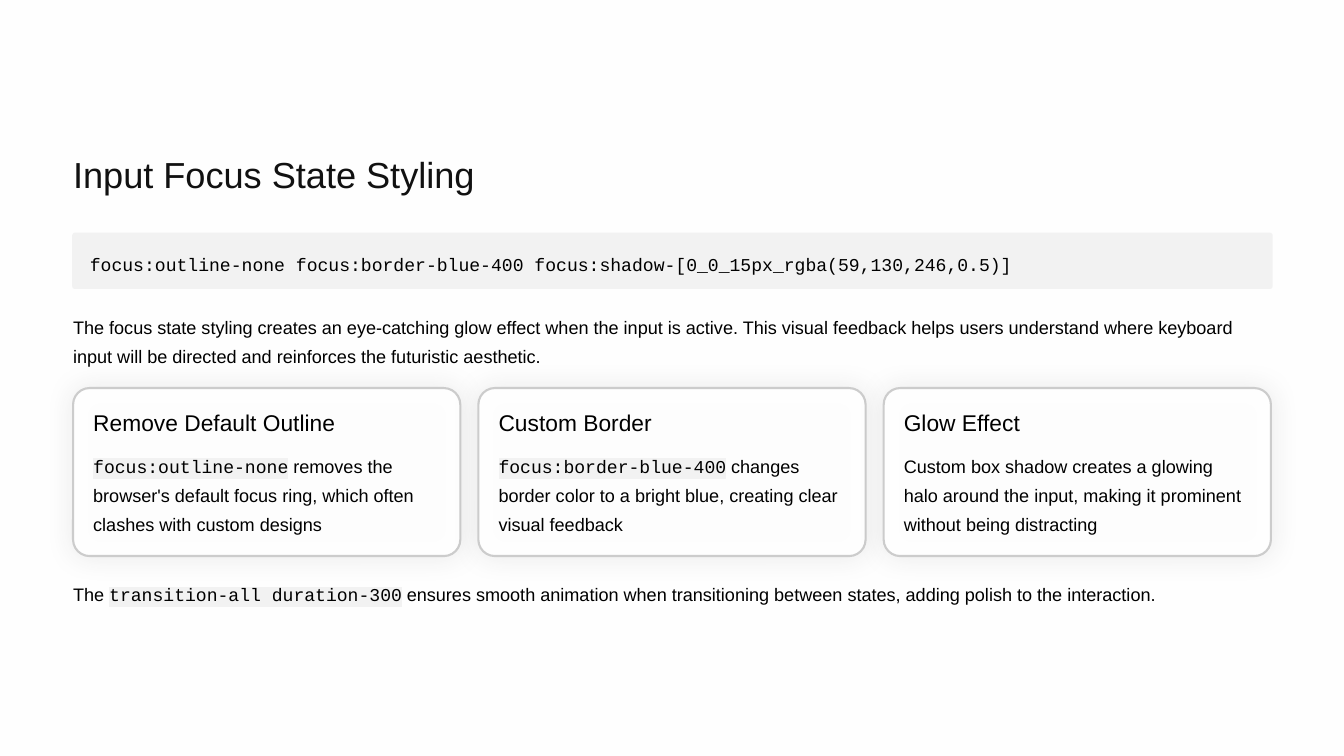
from lxml import etree
from pptx import Presentation
from pptx.dml.color import RGBColor
from pptx.enum.shapes import MSO_SHAPE
from pptx.enum.text import MSO_ANCHOR, MSO_AUTO_SIZE, PP_ALIGN
from pptx.oxml.ns import qn
from pptx.util import Inches, Pt

ROUNDED = MSO_SHAPE.ROUNDED_RECTANGLE
TOP = MSO_ANCHOR.TOP
NO_FIT = MSO_AUTO_SIZE.NONE
LEFT = PP_ALIGN.LEFT

BACKDROP = RGBColor(0xFE, 0xFE, 0xFE)
WHITE = RGBColor(0xFF, 0xFF, 0xFF)
BLACK = RGBColor(0, 0, 0)
HEADING = RGBColor(0x11, 0x11, 0x11)
CODE_FILL = RGBColor(0xF2, 0xF2, 0xF2)
CARD_LINE = RGBColor(0xCC, 0xCC, 0xCC)
GLOW = RGBColor(0x33, 0x33, 0x33)

SANS = "Arial"
MONO = "Courier New"

MARGIN = 0.87
CONTENT_WIDTH = 14.26
CARD_TOP = 4.62
CARD_WIDTH = 4.61
CARD_HEIGHT = 2
CARD_PADDING = 0.24

CARDS = [
    ("Remove Default Outline",
     [("focus:outline-none", True),
      (" removes the browser's default focus ring, which often clashes with custom designs", False)]),
    ("Custom Border",
     [("focus:border-blue-400", True),
      (" changes border color to a bright blue, creating clear visual feedback", False)]),
    ("Glow Effect",
     [("Custom box shadow creates a glowing halo around the input, "
       "making it prominent without being distracting", False)]),
]


def add_color(parent, color, alpha=None):
    node = etree.SubElement(parent, qn("a:srgbClr"), val=str(color))
    if alpha is not None:
        etree.SubElement(node, qn("a:alpha"), val=str(alpha * 1000))


def write(frame, pieces, size=15.5, color=BLACK, leading=25, wrap=True):
    frame.word_wrap = wrap
    frame.auto_size = NO_FIT
    frame.vertical_anchor = TOP
    frame.margin_left = frame.margin_right = 0
    frame.margin_top = frame.margin_bottom = 0
    paragraph = frame.paragraphs[0]
    paragraph.alignment = LEFT
    paragraph.line_spacing = Pt(leading)
    for words, is_code in pieces:
        run = paragraph.add_run()
        run.text = words
        run.font.size = Pt(size)
        run.font.color.rgb = color
        if is_code:
            properties = run.font.fill._xPr
            add_color(etree.SubElement(properties, qn("a:highlight")), CODE_FILL)
        run.font.name = MONO if is_code else SANS


class FocusSlide:
    def __init__(self, deck):
        self.slide = deck.slides.add_slide(deck.slide_layouts[5])
        background = self.slide.background.fill
        background.solid()
        background.fore_color.rgb = BACKDROP

    def place(self, item, left, top, width, height):
        item.left, item.top = Inches(left), Inches(top)
        item.width, item.height = Inches(width), Inches(height)

    def title(self, words, left, top, width, height):
        heading = self.slide.shapes.title
        self.place(heading, left, top, width, height)
        write(heading.text_frame, [(words, False)], size=31, color=HEADING,
              leading=39, wrap=False)

    def text(self, pieces, left, top, width, height, **style):
        box = self.slide.shapes.add_textbox(
            Inches(left), Inches(top), Inches(width), Inches(height))
        write(box.text_frame, pieces, **style)

    def panel(self, left, top, width, height, corner, fill):
        panel = self.slide.shapes.add_shape(
            ROUNDED, Inches(left), Inches(top), Inches(width), Inches(height))
        panel.adjustments[0] = corner
        panel.shadow.inherit = False
        panel.fill.solid()
        panel.fill.fore_color.rgb = fill
        panel.line.fill.background()
        return panel

    def card(self, heading, pieces, left):
        card = self.panel(left, CARD_TOP, CARD_WIDTH, CARD_HEIGHT, 0.098, WHITE)
        card.line.color.rgb = CARD_LINE
        card.line.width = Pt(1.8)
        properties = card.element.spPr
        fill_color = properties.find(qn("a:solidFill")).find(qn("a:srgbClr"))
        etree.SubElement(fill_color, qn("a:alpha"), val="95000")
        glow = etree.SubElement(
            properties.find(qn("a:effectLst")), qn("a:outerShdw"),
            blurRad=str(Pt(23.4)), dist="0", dir="0", algn="ctr", rotWithShape="0")
        add_color(glow, GLOW, 10)
        text_left = left + CARD_PADDING
        text_width = CARD_WIDTH - 2 * CARD_PADDING
        self.text([(heading, False)], text_left, 4.86, text_width, 0.34,
                  size=19.5, leading=24, wrap=False)
        self.text(pieces, text_left, 5.33, text_width, 1.04)


def main():
    deck = Presentation()
    deck.slide_width, deck.slide_height = Inches(16), Inches(9)
    page = FocusSlide(deck)

    page.title("Input Focus State Styling", MARGIN, 1.79, 5.3, 0.54)
    page.panel(0.86, 2.77, 14.29, 0.67, 0.048, CODE_FILL)
    page.text([("focus:outline-none focus:border-blue-400 "
                "focus:shadow-[0_0_15px_rgba(59,130,246,0.5)]", True)],
              1.07, 2.93, 13.85, 0.35, wrap=False)
    page.text([("The focus state styling creates an eye-catching glow effect when the "
                "input is active. This visual feedback helps users understand where "
                "keyboard input will be directed and reinforces the futuristic aesthetic.",
                False)],
              MARGIN, 3.68, CONTENT_WIDTH, 0.69)

    pitch = (CONTENT_WIDTH - CARD_WIDTH) / (len(CARDS) - 1)
    for column, (heading, pieces) in enumerate(CARDS):
        page.card(heading, pieces, MARGIN + column * pitch)

    page.text([("The ", False), ("transition-all duration-300", True),
               (" ensures smooth animation when transitioning between states, "
                "adding polish to the interaction.", False)],
              MARGIN, 6.86, CONTENT_WIDTH, 0.35, wrap=False)
    deck.save("out.pptx")


if __name__ == "__main__":
    main()
